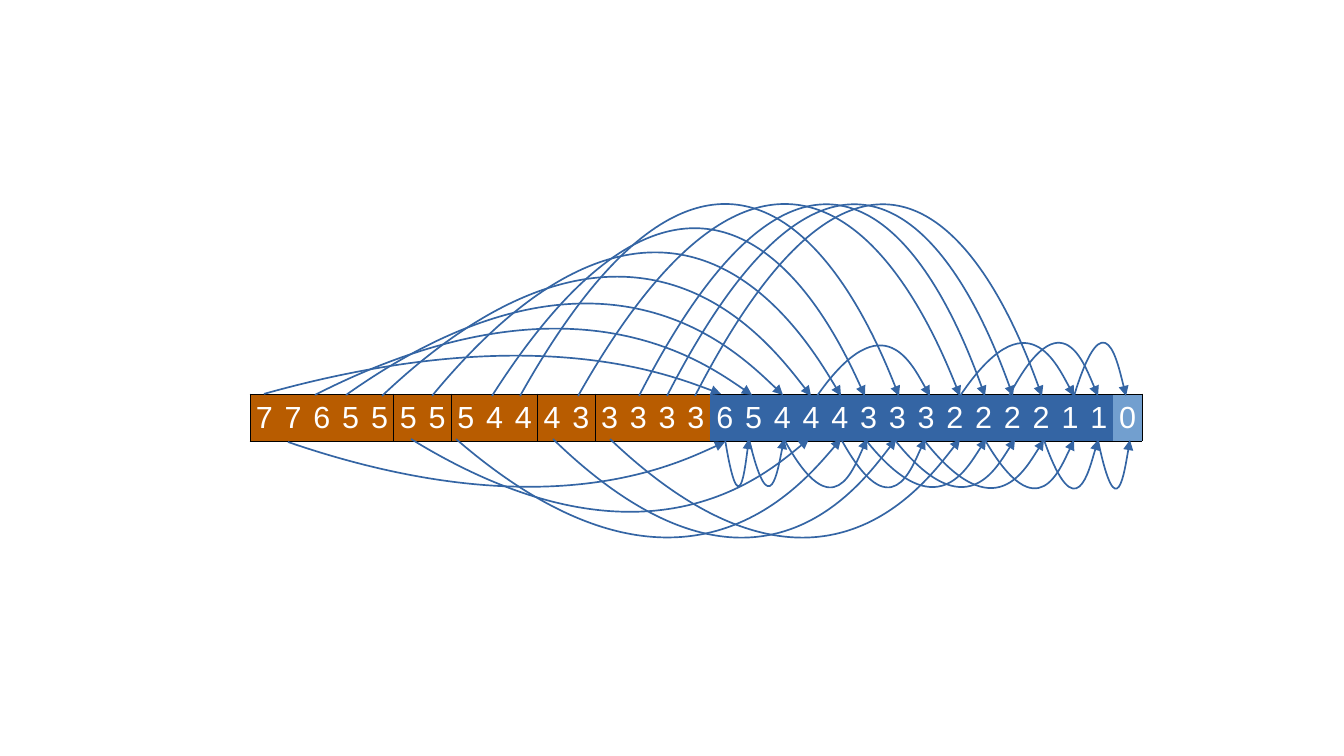
"""Build a slide with a row of numbered cells joined by curved arrows."""
from lxml.etree import SubElement
from pptx import Presentation
from pptx.dml.color import RGBColor
from pptx.enum.text import MSO_ANCHOR, PP_ALIGN
from pptx.oxml.ns import qn
from pptx.util import Pt

COLORS = {"orange": "B85C00", "blue": "3465A4", "light": "729FCF",
          "black": "000000", "white": "FFFFFF"}
GROUPS = [("orange", "7765555544433333"), ("blue", "65444333222211"), ("light", "0")]
BLOCK_STARTS = (0, 5, 7, 10, 12)
TABLE = (250, 394, 893, 47)
ARCS = [
    (264, 721, 394, 317), (315, 752, 395, 261), (725, 749, 439, 528),
    (346, 783, 395, 209), (749, 784, 439, 528), (382, 811, 396, 152),
    (411, 809, 439, 586), (432, 841, 396, 99), (456, 841, 439, 639),
    (492, 865, 396, 45), (520, 899, 396, -10), (553, 896, 439, 639),
    (578, 960, 396, -10), (610, 960, 439, 639), (639, 985, 396, -9),
    (865, 986, 439, 531), (784, 867, 439, 531), (841, 925, 439, 531),
    (817, 930, 396, 299), (667, 1013, 396, -9), (894, 1015, 439, 531),
    (695, 1042, 396, -9), (924, 1044, 440, 532), (985, 1074, 440, 532),
    (960, 1074, 396, 294), (1009, 1098, 396, 294), (1044, 1098, 440, 532),
    (1074, 1126, 396, 294), (1098, 1130, 440, 532), (288, 725, 442, 532),
]
EMU_PER_PX = 7495


def px(n):
    return round(n * EMU_PER_PX)


def rgb(name):
    return RGBColor.from_string(COLORS[name])


def set_border(tc_pr, side, visible):
    ln = SubElement(tc_pr, qn(f"a:{side}"), w=str(Pt(0.57)))
    if visible:
        fill = SubElement(ln, qn("a:solidFill"))
        SubElement(fill, qn("a:srgbClr"), val=COLORS["black"])
    else:
        SubElement(ln, qn("a:noFill"))


def add_cells(slide):
    cells = [(color, digit) for color, digits in GROUPS for digit in digits]
    count = len(cells)
    frame = slide.shapes.add_table(1, count, *map(px, TABLE))
    table = frame.table
    table.first_row = table.horz_banding = False
    for i, (color, digit) in enumerate(cells):
        table.columns[i].width = px(TABLE[2] / count)
        cell = table.cell(0, i)
        cell.margin_left = cell.margin_right = px(5)
        cell.margin_top = cell.margin_bottom = px(6)
        cell.vertical_anchor = MSO_ANCHOR.MIDDLE
        p = cell.text_frame.paragraphs[0]
        p.alignment = PP_ALIGN.CENTER
        r = p.add_run()
        r.text = digit
        r.font.size = Pt(18)
        r.font.name = "Arial"
        r.font.color.rgb = rgb("white")
        tc_pr = cell._tc.get_or_add_tcPr()
        edges = {"lnL": i in BLOCK_STARTS,
                 "lnR": i + 1 in BLOCK_STARTS or i == count - 1,
                 "lnT": True, "lnB": True}
        for side, visible in edges.items():
            set_border(tc_pr, side, visible)
        cell.fill.solid()
        cell.fill.fore_color.rgb = rgb(color)


def add_arc(slide, start, end, base, control):
    span = end - start
    peak = (px(start + span * 0.53), px(base + (control - base) * 4 / 9))
    builder = slide.shapes.build_freeform(px(start), px(base))
    builder.add_line_segments([peak, (px(end), px(base))], close=False)
    sp = builder.convert_to_shape()
    sp.shadow.inherit = False
    sp.fill.background()
    sp.line.color.rgb = rgb("blue")
    sp.line.width = Pt(1)
    SubElement(sp.line._get_or_add_ln(), qn("a:tailEnd"), type="triangle")
    path = next(sp._element.iter(qn("a:path")))
    for segment in path.findall(qn("a:lnTo")):
        path.remove(segment)
    curve = SubElement(path, qn("a:cubicBezTo"))
    for x, y in [(start + span * 0.6, control), (end, base), (end, base)]:
        SubElement(curve, qn("a:pt"), x=str(px(x) - sp.left), y=str(px(y) - sp.top))


def main():
    prs = Presentation()
    prs.slide_width, prs.slide_height = px(1344), px(756)
    slide = prs.slides.add_slide(prs.slide_layouts[6])
    add_cells(slide)
    for arc in ARCS:
        add_arc(slide, *arc)
    prs.save("out.pptx")


if __name__ == "__main__":
    main()
